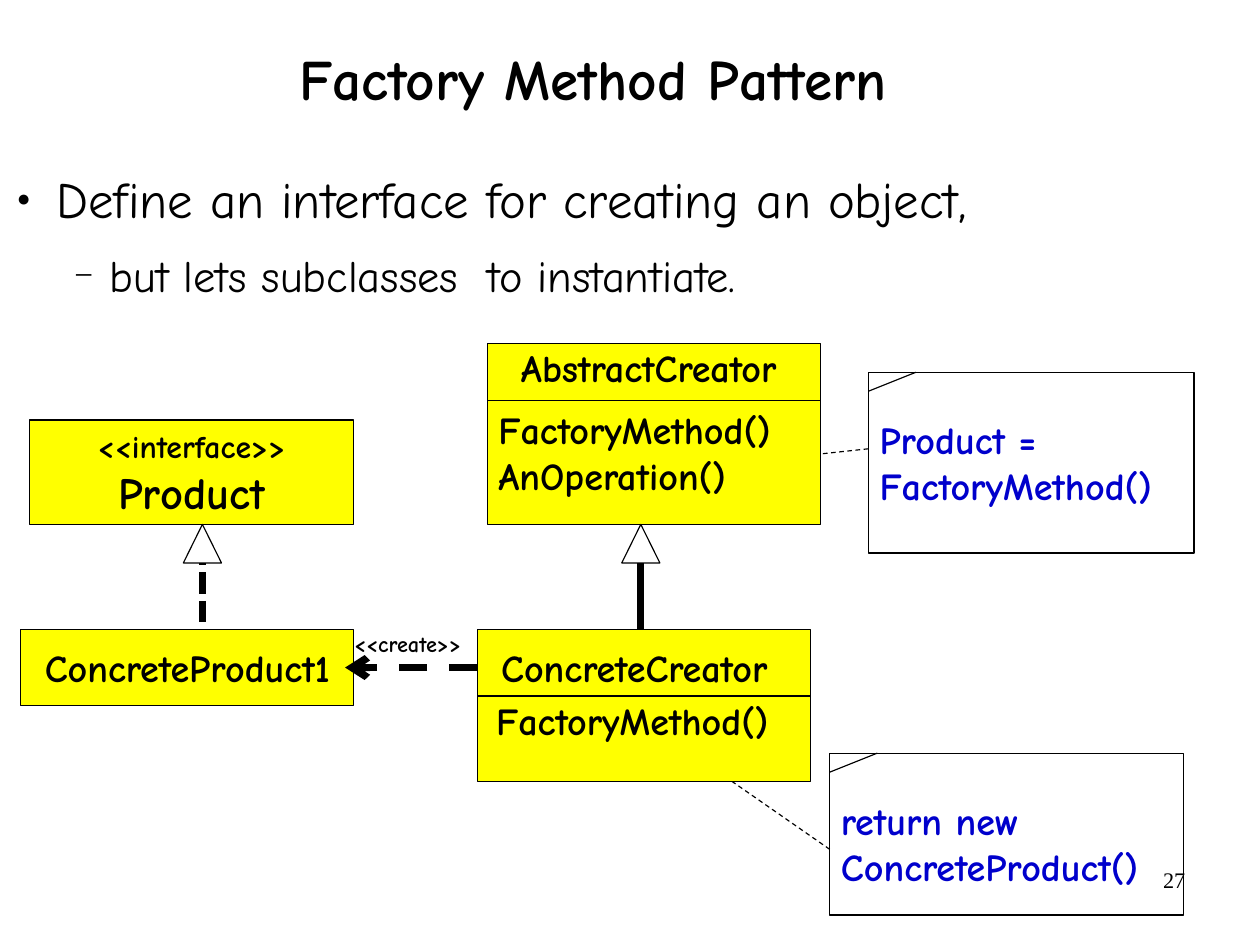
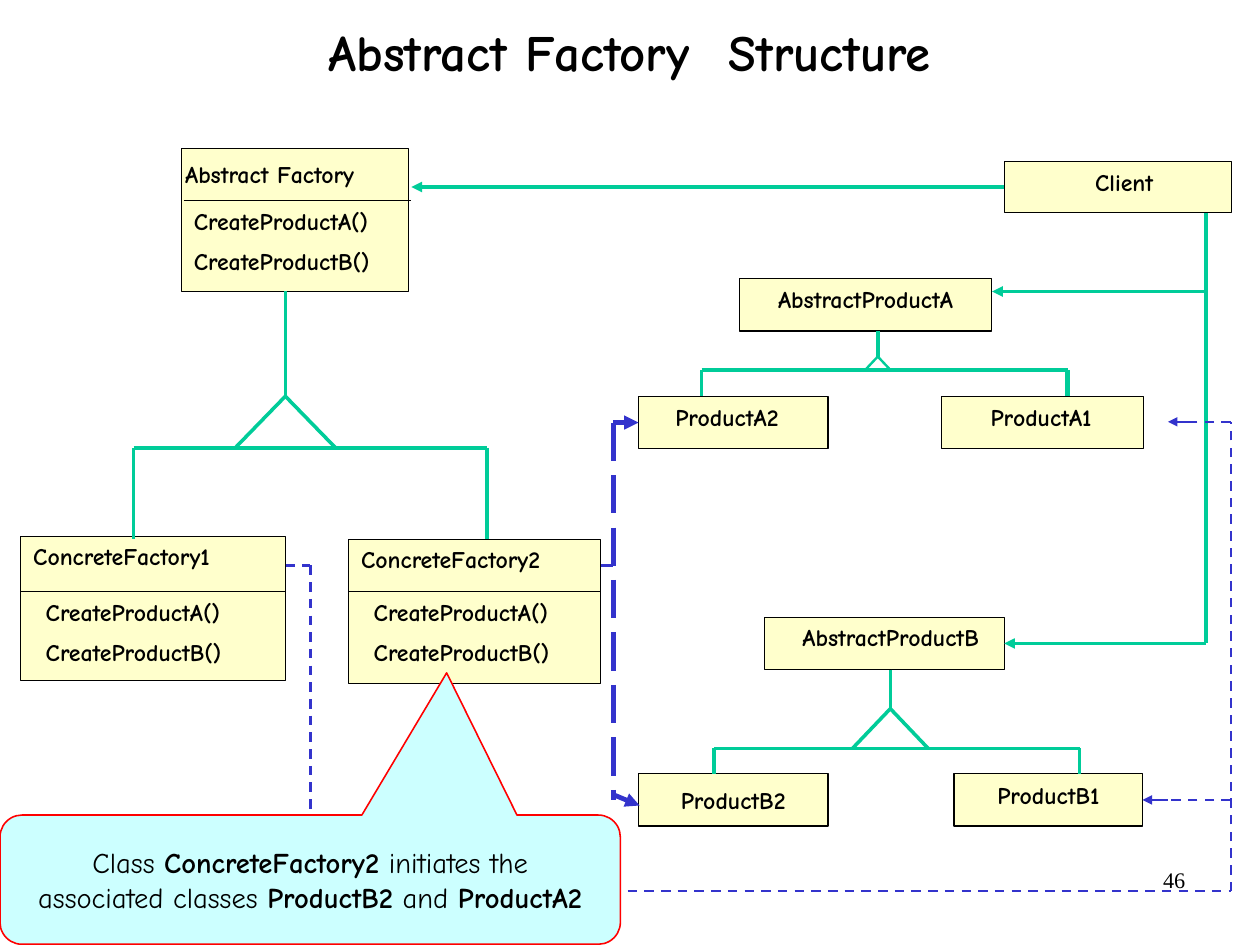
"""Build two class-diagram slides on the factory design patterns."""
from dataclasses import dataclass, replace
from itertools import pairwise
from typing import NamedTuple

from pptx import Presentation
from pptx.dml.color import RGBColor
from pptx.enum.dml import MSO_LINE
from pptx.enum.shapes import MSO_CONNECTOR, MSO_SHAPE
from pptx.enum.text import MSO_ANCHOR, PP_ALIGN
from pptx.oxml.ns import qn
from pptx.util import Pt
from lxml.etree import SubElement


@dataclass(frozen=True)
class Theme:
    font: str = "Comic Neue"
    number_font: str = "Times New Roman"
    black: str = "000000"
    white: str = "FFFFFF"
    yellow: str = "FFFF00"
    cream: str = "FFFFCC"
    cyan: str = "CCFFFF"
    red: str = "FF0000"
    code_blue: str = "0000CC"
    link_blue: str = "3333CC"
    green: str = "00CC99"
    title: float = 36
    subtitle: float = 32
    body: tuple[float, float] = (32, 28)
    interface: tuple[float, float] = (20, 28)
    diagram: float = 24
    callout: float = 18
    small: float = 15
    tiny: float = 14
    hairline: float = 0.75


THEME = Theme()


class Rect(NamedTuple):
    left: float
    top: float
    width: float
    height: float


class Insets(NamedTuple):
    left: float = 7.2
    top: float = 3.6
    right: float = 7.2
    bottom: float = 3.6


@dataclass(frozen=True)
class TextStyle:
    sizes: tuple[float, ...]
    bold: bool = True
    color: str = THEME.black
    font: str = THEME.font
    align: PP_ALIGN = PP_ALIGN.LEFT
    anchor: MSO_ANCHOR = MSO_ANCHOR.TOP
    gap: float = 0
    insets: Insets = Insets()


@dataclass(frozen=True)
class Box:
    rect: Rect
    lines: tuple[str, ...]
    style: TextStyle
    fill: str | None = None


@dataclass(frozen=True)
class Stroke:
    color: str = THEME.black
    width: float = THEME.hairline
    dash: MSO_LINE | None = None
    tail: str | None = None


@dataclass(frozen=True)
class Tree:
    x: float
    top: float
    apex: float
    bar: float
    bottom: float
    left: float
    right: float
    spread: float
    widths: tuple[float, float, float] = (2.25, 2.25, 2.25)


CENTER, MIDDLE = PP_ALIGN.CENTER, MSO_ANCHOR.MIDDLE
MEMBER = TextStyle((THEME.diagram,))
CLASS_NAME = replace(MEMBER, align=CENTER)
NOTE = replace(MEMBER, color=THEME.code_blue, insets=Insets(top=28))
SMALL = TextStyle((THEME.small,), gap=7.5, insets=Insets(7.9, 3.6, 7.9, 3.6))
SMALL_NAME = replace(SMALL, align=CENTER)
HAIRLINE = Stroke()
GREEN = Stroke(THEME.green, 2.25)
GREEN_ARROW = replace(GREEN, tail="triangle")
BLUE = Stroke(THEME.link_blue, 1.5, MSO_LINE.DASH)
BLUE_ARROW = replace(BLUE, dash=None, tail="triangle")
BOLD_BLUE = Stroke(THEME.link_blue, 3, MSO_LINE.LONG_DASH)
BOLD_BLUE_ARROW = replace(BOLD_BLUE, tail="triangle")


def write(shape, lines: tuple[str, ...], style: TextStyle) -> None:
    frame = shape.text_frame
    frame.word_wrap = True
    frame.vertical_anchor = style.anchor
    frame.margin_left, frame.margin_top, frame.margin_right, frame.margin_bottom = map(Pt, style.insets)
    frame.text = "\n".join(lines)
    for index, paragraph in enumerate(frame.paragraphs):
        paragraph.alignment = style.align
        if index and style.gap:
            paragraph.space_before = Pt(style.gap)
        for run in paragraph.runs:
            font = run.font
            font.name, font.bold = style.font, style.bold
            font.size = Pt(style.sizes[min(index, len(style.sizes) - 1)])
            font.color.rgb = RGBColor.from_string(style.color)


def add_text(slide, rect: Rect, lines: tuple[str, ...], style: TextStyle):
    shape = slide.shapes.add_textbox(*map(Pt, rect))
    write(shape, lines, style)
    return shape


def add_outline(slide, kind: MSO_SHAPE, rect: Rect, fill: str | None, color: str = THEME.black,
                width: float = THEME.hairline):
    shape = slide.shapes.add_shape(kind, *map(Pt, rect))
    shape.shadow.inherit = False
    if fill:
        shape.fill.solid()
        shape.fill.fore_color.rgb = RGBColor.from_string(fill)
    else:
        shape.fill.background()
    shape.line.color.rgb = RGBColor.from_string(color)
    shape.line.width = Pt(width)
    return shape


def add_box(slide, box: Box):
    shape = add_outline(slide, MSO_SHAPE.RECTANGLE, box.rect, box.fill)
    write(shape, box.lines, box.style)
    return shape


def find_site(boxes: list, x: float, y: float):
    for box in boxes:
        left, top, width, height = box.left.pt, box.top.pt, box.width.pt, box.height.pt
        sites = ((left + width / 2, top), (left, top + height / 2),
                 (left + width / 2, top + height), (left + width, top + height / 2))
        for index, (site_x, site_y) in enumerate(sites):
            if abs(site_x - x) < 1 and abs(site_y - y) < 1:
                return box, index
    return None


def add_line(slide, start: tuple, end: tuple, stroke: Stroke = HAIRLINE, boxes: list | None = None) -> None:
    connector = slide.shapes.add_connector(MSO_CONNECTOR.STRAIGHT, *map(Pt, (*start, *end)))
    if site := find_site(boxes or [], *start):
        connector.begin_connect(*site)
    if site := find_site(boxes or [], *end):
        connector.end_connect(*site)
    connector.line.color.rgb = RGBColor.from_string(stroke.color)
    connector.line.width = Pt(stroke.width)
    if stroke.dash:
        connector.line.dash_style = stroke.dash
    if stroke.tail:
        SubElement(connector.get_or_add_ln(), qn("a:tailEnd"), type=stroke.tail)
    SubElement(connector.element.spPr, qn("a:effectLst"))


def add_tree(slide, tree: Tree) -> None:
    apex = (tree.x, tree.apex)
    legs, left_drop, right_drop = (replace(GREEN, width=width) for width in tree.widths)
    add_line(slide, (tree.x, tree.top), apex, GREEN)
    add_line(slide, (tree.left, tree.bar), (tree.right, tree.bar), GREEN)
    for side in (-1, 1):
        add_line(slide, apex, (tree.x + side * tree.spread, tree.bar), legs)
    for x, stroke in ((tree.left, left_drop), (tree.right, right_drop)):
        add_line(slide, (x, tree.bar), (x, tree.bottom), stroke)


def add_slide(presentation, title: str, rect: Rect, size: float, number: str):
    slide = presentation.slides.add_slide(presentation.slide_layouts[6])
    add_text(slide, Rect(568.8, 542.2, 185, 41), (number,),
             TextStyle((THEME.tiny,), False, font=THEME.number_font, align=PP_ALIGN.RIGHT))
    heading = add_text(slide, rect, (title,),
                       TextStyle((size,), align=CENTER, anchor=MIDDLE, insets=Insets(0, 0, 0, 0)))
    heading.text_frame.paragraphs[0].line_spacing = 0.88
    return slide


def add_bullets(slide, rect: Rect, lines: tuple[str, ...]) -> None:
    shape = add_text(slide, rect, lines, TextStyle(THEME.body, False, insets=Insets(0, 0, 0, 0)))
    bullets = ((33.4, -25, "●", 45), (67, -22.4, "−", 75))
    for level, (paragraph, (margin, indent, mark, percent)) in enumerate(zip(shape.text_frame.paragraphs, bullets)):
        paragraph.level = level
        paragraph.space_before = paragraph.space_after = Pt(6.1)
        properties = paragraph._p.get_or_add_pPr()
        properties.set("marL", str(Pt(margin)))
        properties.set("indent", str(Pt(indent)))
        SubElement(SubElement(properties, qn("a:buClr")), qn("a:srgbClr"), val=THEME.black)
        SubElement(properties, qn("a:buSzPct"), val=str(percent * 1000))
        SubElement(properties, qn("a:buFont"), typeface=THEME.number_font)
        SubElement(properties, qn("a:buChar"), char=mark)


def build_method_slide(presentation) -> None:
    slide = add_slide(presentation, "Factory Method Pattern", Rect(36, 0.5, 675, 103), THEME.title, "27")
    notes = (
        (Box(Rect(547, 234.5, 205.2, 113.8), ("Product =", "FactoryMethod()"), NOTE), 282.7, (493.2, 288.5)),
        (Box(Rect(522.7, 474.4, 223, 102), ("return new", "ConcreteProduct()"), NOTE), 535, (445, 481)),
    )
    for note, link_y, target in notes:
        left, top = note.rect[:2]
        add_box(slide, note)
        add_line(slide, (left + 30, top), (left, top + 12))
        add_line(slide, (left, link_y), target, Stroke(dash=MSO_LINE.DASH))
    classes = (
        Box(Rect(306.9, 216.3, 210, 114), ("AbstractCreator",),
            replace(CLASS_NAME, insets=Insets(0, 0.6, 6.4, 0)), THEME.yellow),
        Box(Rect(18.8, 264.6, 203.8, 66), ("<<interface>>", "Product"),
            replace(CLASS_NAME, sizes=THEME.interface, anchor=MIDDLE), THEME.yellow),
        Box(Rect(13, 396.4, 210, 48), ("ConcreteProduct1",),
            replace(CLASS_NAME, anchor=MIDDLE), THEME.yellow),
        Box(Rect(300.7, 396.4, 210, 96), ("ConcreteCreator",),
            replace(CLASS_NAME, insets=Insets(0, 9.6, 12.2, 0)), THEME.yellow),
    )
    boxes = [add_box(slide, box) for box in classes]
    for left, y in ((306.9, 252.4), (300.7, 438.4)):
        add_line(slide, (left, y), (left + 210, y))
    add_text(slide, Rect(306.9, 252.4, 207.4, 64.8), ("FactoryMethod()", "AnOperation()"), MEMBER)
    add_text(slide, Rect(305.5, 435.6, 207.4, 36), ("FactoryMethod()",), MEMBER)
    add_line(slide, (300.7, 420.5), (217.4, 420.5), Stroke(width=4.5, dash=MSO_LINE.DASH, tail="arrow"), boxes)
    for x, dash in ((127.5, MSO_LINE.SQUARE_DOT), (403.7, None)):
        add_line(slide, (x, 342.5), (x, 396.4), Stroke(width=4.5, dash=dash), boxes)
        add_outline(slide, MSO_SHAPE.ISOSCELES_TRIANGLE, Rect(x - 12, 330.3, 24, 24.3), THEME.white)
    add_text(slide, Rect(216, 393.5, 93.6, 24.5), ("<<create>>",), TextStyle((THEME.tiny,)))
    add_bullets(slide, Rect(2.2, 105.8, 791, 100),
                ("Define an interface for creating an object,", "but lets subclasses  to instantiate."))


def add_callout(slide) -> None:
    shape = add_outline(slide, MSO_SHAPE.ROUNDED_RECTANGULAR_CALLOUT, Rect(0, 513.4, 390.8, 81.4),
                        THEME.cyan, THEME.red, 1)
    for index, value in enumerate((0.22, -1.6, 0.17)):
        shape.adjustments[index] = value
    lines = (("Class ", "ConcreteFactory2", " initiates the"),
             ("associated classes ", "ProductB2", " and ", "ProductA2"))
    write(shape, ("", ""), replace(SMALL_NAME, anchor=MIDDLE, gap=0))
    for paragraph, pieces in zip(shape.text_frame.paragraphs, lines):
        for index, piece in enumerate(pieces):
            run = paragraph.add_run()
            run.text = piece
            run.font.name, run.font.size, run.font.bold = THEME.font, Pt(THEME.callout), index % 2 == 1
            run.font.color.rgb = RGBColor.from_string(THEME.black)


def build_structure_slide(presentation) -> None:
    slide = add_slide(presentation, "Abstract Factory\tStructure", Rect(0, -14.4, 793.4, 98.6), THEME.subtitle, "46")
    factories = (
        ("Abstract Factory", Rect(114.2, 93.6, 143.3, 90), Insets(2.4, 7.2, 0, 0), 126.4, 1.5),
        ("ConcreteFactory1", Rect(13, 338, 167, 90.7), SMALL.insets, 372.7, 0),
        ("ConcreteFactory2", Rect(219.6, 339.8, 158.8, 90.7), SMALL.insets, 372.7, 0),
    )
    for name, rect, insets, divider, shift in factories:
        add_box(slide, Box(rect, (name,), replace(SMALL, insets=insets), THEME.cream))
        add_line(slide, (rect.left + shift, divider), (rect.left + rect.width + shift, divider))
        indent = 0 if shift else 7.9
        add_text(slide, Rect(rect.left + indent, divider, 143.3, 53.3), ("CreateProductA()", "CreateProductB()"), SMALL)
    products = (
        ("Client", Rect(632.6, 101.5, 143.3, 32.6), 15.8, 4.3),
        ("AbstractProductA", Rect(465.8, 175.5, 159.1, 33.1), 7.9, 3.7),
        ("ProductA2", Rect(402.2, 249.7, 119.5, 33), 0, 3.7),
        ("ProductA1", Rect(593, 249.7, 127.4, 33), 6.3, 3.7),
        ("AbstractProductB", Rect(481.7, 388.8, 151, 33), 15.8, 3.7),
        ("ProductB2", Rect(402.2, 487.4, 119.5, 33), 7.9, 7.3),
        ("ProductB1", Rect(601, 487.4, 118.8, 33), 8.1, 4.3),
    )
    boxes = [add_box(slide, Box(rect, (name,), replace(SMALL_NAME, insets=Insets(left, top, 7.9, 0)), THEME.cream))
             for name, rect, left, top in products]
    for tree in (Tree(179.8, 183.6, 249.6, 282.2, 339.8, 84.2, 306.7, 31.7),
                 Tree(553, 208.6, 224.6, 233, 249.7, 442, 672.5, 7.9, (1.5, 1.5, 3)),
                 Tree(560.9, 421.8, 446.4, 471.4, 487.4, 449.8, 680.2, 23.8)):
        add_tree(slide, tree)
    routes = (
        (GREEN_ARROW, (632.6, 117.8), (259.2, 117.8)),
        (GREEN, (759.6, 134.4), (759.6, 405.3)),
        (GREEN_ARROW, (759.6, 405.3), (632.7, 405.3)),
        (GREEN_ARROW, (759.6, 183.6), (625, 183.6)),
        (BLUE, (180, 356.2), (195.6, 356.2), (195.6, 561.4), (775.4, 561.4), (775.4, 265.7), (735.8, 265.7)),
        (BLUE_ARROW, (751.7, 265.7), (735.8, 265.7)),
        (BOLD_BLUE, (386.4, 266.2), (386.4, 503.9)),
        (replace(BOLD_BLUE, width=1.5), (378.4, 356.2), (386.4, 356.2)),
        (BOLD_BLUE_ARROW, (386.4, 266.2), (402.2, 266.2)),
        (BOLD_BLUE_ARROW, (386, 500.4), (402.9, 507.4)),
        (BLUE, (775.4, 503.9), (735.8, 503.9)),
        (BLUE_ARROW, (735.8, 503.9), (719.8, 503.9)),
    )
    for stroke, *points in routes:
        for start, end in pairwise(points):
            add_line(slide, start, end, stroke, boxes)
    add_callout(slide)


def main() -> None:
    presentation = Presentation()
    presentation.slide_width, presentation.slide_height = Pt(793.75), Pt(595.25)
    build_method_slide(presentation)
    build_structure_slide(presentation)
    presentation.save("out.pptx")


if __name__ == "__main__":
    main()
